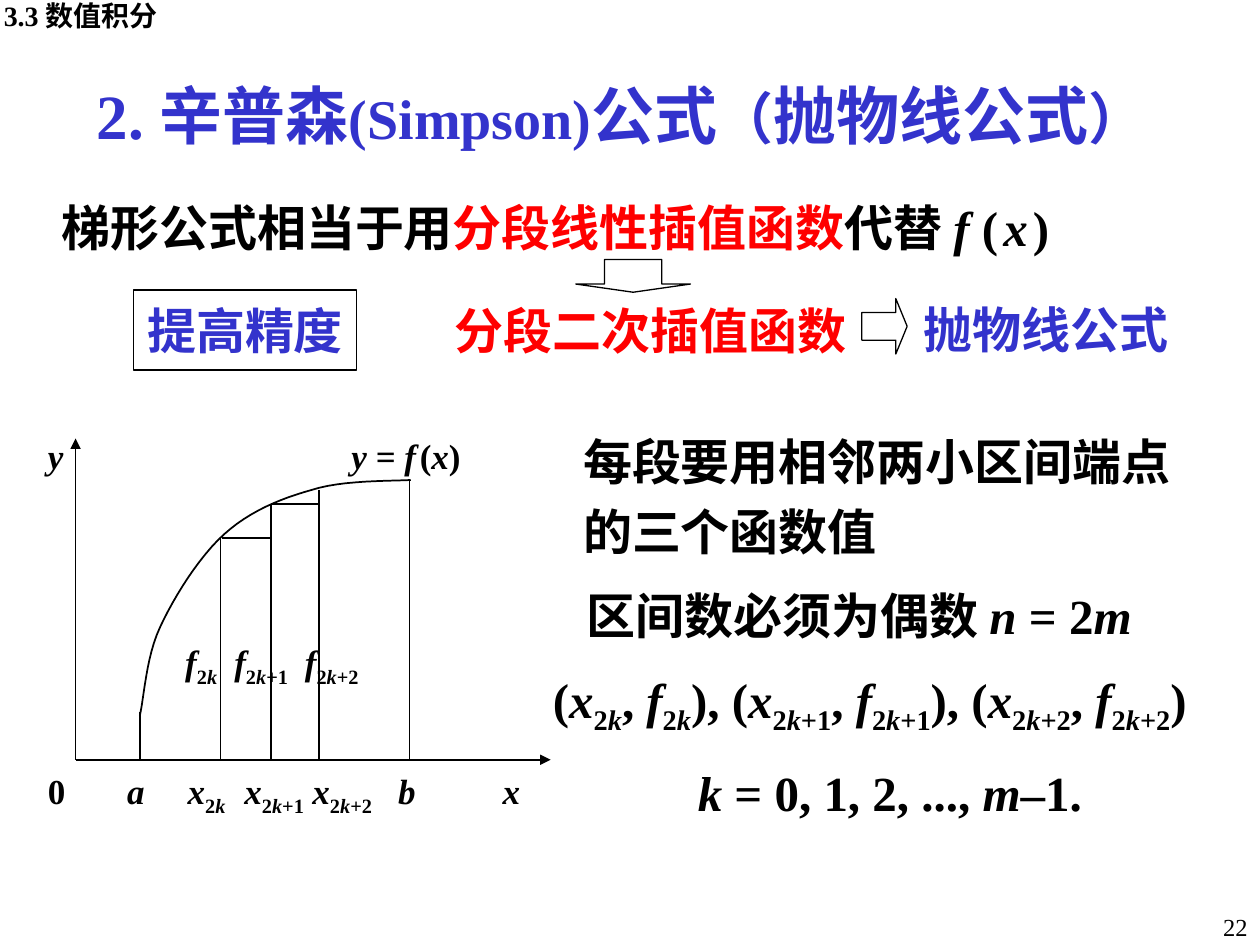
from pptx import Presentation
from pptx.dml.color import RGBColor
from pptx.enum import shapes, text
from pptx.oxml import ns, xmlchemy
from pptx.util import Inches, Pt

COLORS = {"ink": "000000", "key": "FF0000", "title": "3333CC"}
FONT = "Times New Roman"
LEFT, CENTER, RIGHT = text.PP_ALIGN.LEFT, text.PP_ALIGN.CENTER, text.PP_ALIGN.RIGHT
AXIS_Y = 6.03
CURVE_START = (1.11, 5.68)
CURVE = [
    ((1.14, 5.56), (1.16, 5.21), (1.27, 4.98)),
    ((1.38, 4.74), (1.58, 4.42), (1.78, 4.24)),
    ((1.98, 4.06), (2.22, 3.96), (2.47, 3.89)),
    ((2.71, 3.81), (3.1, 3.82), (3.26, 3.81)),
]
ORDINATES = [(1.11, 5.65), (1.75, 4.27), (2.15, 4.01), (2.53, 3.89), (3.25, 3.82)]
STEPS = [(1.76, 2.16, 4.27), (2.16, 2.54, 4)]
OFFSETS = ("", "+1", "+2")


def rgb(name):
    return RGBColor.from_string(COLORS[name])


def indexed(letter, offset):
    """Runs for a letter with the subscript 2k plus an offset."""
    runs = [(letter, "i"), ("2", "s"), ("k", "is")]
    return runs + [(offset, "s")] if offset else runs


def write_runs(paragraph, runs, size, color, bold):
    """Each run is (text, flags, overrides); flags: i italic, s subscript."""
    for content, flags, *overrides in runs:
        changes = overrides[0] if overrides else {}
        run = paragraph.add_run()
        run.text = content
        run.font.name = FONT
        run.font.bold = bold
        run.font.italic = "i" in flags
        run.font.size = Pt(changes.get("size", size))
        run.font.color.rgb = rgb(changes.get("color", color))
        if "s" in flags:
            run.font._element.set("baseline", "-25000")


def set_frame(frame, wrap=True, middle=True, insets=(0.1, 0.05)):
    frame.word_wrap = wrap
    frame.vertical_anchor = text.MSO_ANCHOR.MIDDLE if middle else text.MSO_ANCHOR.TOP
    frame.margin_left = frame.margin_right = Inches(insets[0])
    frame.margin_top = frame.margin_bottom = Inches(insets[1])


def add_text(slide, box, lines, size=28, color="ink", bold=True, align=LEFT,
             spacing=1.2, **frame_options):
    frame = slide.shapes.add_textbox(*map(Inches, box)).text_frame
    set_frame(frame, **frame_options)
    for index, runs in enumerate(lines):
        paragraph = frame.add_paragraph() if index else frame.paragraphs[0]
        paragraph.alignment = align
        paragraph.line_spacing = spacing
        write_runs(paragraph, runs, size, color, bold)
    return frame


def add_outline(slide, kind, box, width):
    shape = slide.shapes.add_shape(kind, *map(Inches, box))
    shape.shadow.inherit = False
    shape.fill.background()
    shape.line.color.rgb = rgb("ink")
    shape.line.width = Pt(width)
    return shape


def add_line(slide, start, end, arrow=False):
    line = slide.shapes.add_connector(
        shapes.MSO_CONNECTOR.STRAIGHT, *map(Inches, (*start, *end)))
    line.line.color.rgb = rgb("ink")
    line.line.width = Pt(1)
    properties = line._element.spPr
    if arrow:
        head = xmlchemy.OxmlElement("a:tailEnd")
        head.set("type", "triangle")
        properties.find(ns.qn("a:ln")).append(head)
    properties.append(xmlchemy.OxmlElement("a:effectLst"))


def bezier_points(start, segments, steps=12):
    points = []
    for first, second, end in segments:
        for step in range(1, steps + 1):
            t = step / steps
            weights = ((1 - t) ** 3, 3 * t * (1 - t) ** 2, 3 * t * t * (1 - t), t ** 3)
            knots = (start, first, second, end)
            points.append(tuple(
                sum(w * knot[axis] for w, knot in zip(weights, knots))
                for axis in (0, 1)))
        start = end
    return points


def add_curve(slide):
    # Freeform coordinates are rounded to integers, so they are given in EMU.
    points = [(Inches(x), Inches(y))
              for x, y in [CURVE_START, *bezier_points(CURVE_START, CURVE)]]
    builder = slide.shapes.build_freeform(*points[0])
    builder.add_line_segments(points[1:], close=False)
    curve = builder.convert_to_shape()
    curve.shadow.inherit = False
    curve.fill.background()
    curve.line.color.rgb = rgb("ink")
    curve.line.width = Pt(1)


def add_tabs(paragraph, positions):
    tabs = xmlchemy.OxmlElement("a:tabLst")
    for position in positions:
        tab = xmlchemy.OxmlElement("a:tab")
        tab.set("pos", str(Inches(position)))
        tab.set("algn", "l")
        tabs.append(tab)
    paragraph._p.get_or_add_pPr().append(tabs)


def add_graph_labels(slide):
    tab = ("\t", "")
    curve_row = [("y", "i"), tab, ("y = f", "i"), (" ", "s", {"size": 14}),
                 ("(", ""), ("x", "i"), (")", "")]
    value_row, axis_row = [], [("0", ""), tab, ("a", "i")]
    for offset in OFFSETS:
        value_row += [tab, *indexed("f", offset)]
        axis_row += [tab, *indexed("x", offset)]
    axis_row += [tab, ("b", "i"), tab, ("x", "i")]
    frame = add_text(slide, (0.36, 3.37, 4.06, 3.08), [curve_row, value_row, axis_row],
                     size=20, middle=False, insets=(0.02, 0.01))
    stops = [(2.41,), (1.09, 1.48, 2.04), (0.63, 1.11, 1.56, 2.1, 2.78, 3.61)]
    for paragraph, gap, positions in zip(frame.paragraphs, (0, 87, 41), stops):
        if gap:
            paragraph.space_before = Pt(gap)
        add_tabs(paragraph, positions)


def add_graph(slide):
    add_graph_labels(slide)
    origin = (0.6, AXIS_Y)
    for tip in ((4.37, AXIS_Y), (0.6, 3.48)):
        add_line(slide, origin, tip, arrow=True)
    add_curve(slide)
    for x, top in ORDINATES:
        add_line(slide, (x, top), (x, AXIS_Y))
    for left, right, y in STEPS:
        add_line(slide, (left, y), (right, y))


def add_argument(slide):
    """The step from linear to quadratic interpolation."""
    add_text(slide, (0.39, 1.43, 8.36, 0.67), [[
        ("梯形公式相当于用", ""), ("分段线性插值函数", "", {"color": "key"}),
        ("代替 ", ""), ("f ", "i"), ("(", ""), (" ", "s", {"size": 20}),
        ("x", "i"), (" ", "s", {"size": 20}), (")", "")]])
    goal = add_outline(slide, shapes.MSO_SHAPE.RECTANGLE, (1.06, 2.3, 1.77, 0.64), 1)
    set_frame(goal.text_frame, wrap=False)
    goal.text_frame.paragraphs[0].alignment = CENTER
    write_runs(goal.text_frame.paragraphs[0], [("提高精度", "")], 28, "title", True)
    add_text(slide, (3.51, 2.24, 3.56, 0.67), [[("分段二次插值函数", "")]], color="key")
    add_text(slide, (7.23, 2.23, 2.35, 0.67), [[("抛物线公式", "")]], color="title")
    for kind, box in ((shapes.MSO_SHAPE.DOWN_ARROW, (4.57, 2.06, 0.91, 0.26)),
                      (shapes.MSO_SHAPE.RIGHT_ARROW, (6.84, 2.37, 0.36, 0.44))):
        arrow = add_outline(slide, kind, box, 0.75)
        arrow.adjustments[0], arrow.adjustments[1] = 0.5, 0.25


def add_conditions(slide):
    add_text(slide, (4.53, 3.35, 4.99, 1.08),
             [[("每段要用相邻两小区间端点", "")], [("的三个函数值", "")]])
    add_text(slide, (4.56, 4.45, 4.99, 0.77), [[
        ("区间数必须为偶数 ", ""), ("n", "i"), (" = 2", ""), ("m", "i")]])
    nodes = []
    for offset in OFFSETS:
        nodes += [("), (" if nodes else "(", ""), *indexed("x", offset),
                  (", ", ""), *indexed("f", offset)]
    add_text(slide, (4.29, 5.2, 5.47, 0.65), [nodes + [(")", "")]])
    add_text(slide, (5.44, 5.85, 3.83, 0.77), [[
        ("k", "i"), (" = 0, 1, 2, ..., ", ""), ("m", "i"), ("–1.", "")]])


def main():
    deck = Presentation()
    deck.slide_width, deck.slide_height = Inches(10), Inches(7.5)
    slide = deck.slides.add_slide(deck.slide_layouts[6])
    small = {"size": 32}
    add_text(slide, (0.67, 0.57, 8.88, 0.67), [[
        ("2. 辛普森", ""), ("(Simpson)", "", small), ("公式", ""),
        ("（", "", small), ("抛物线公式", ""), ("）", "", small)]],
        size=36, color="title", spacing=1)
    add_graph(slide)
    add_argument(slide)
    add_conditions(slide)
    add_text(slide, (9.58, 7.19, 0.42, 0.31), [[("22", "")]], size=14, bold=False,
             align=RIGHT, spacing=1, middle=False)
    add_text(slide, (0, 0.04, 1.45, 0.16), [[("3.3 数值积分", "")]], size=16,
             spacing=1, insets=(0.03, 0))
    deck.save("out.pptx")


if __name__ == "__main__":
    main()
